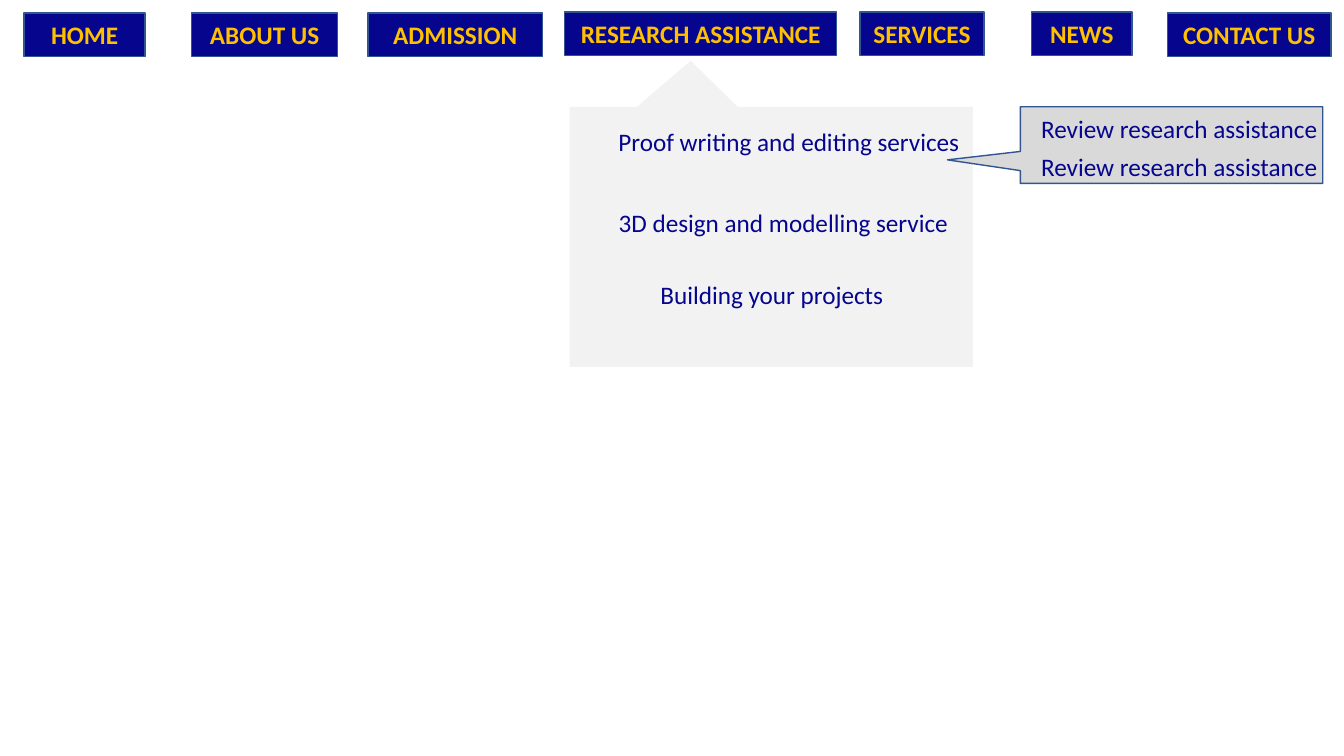
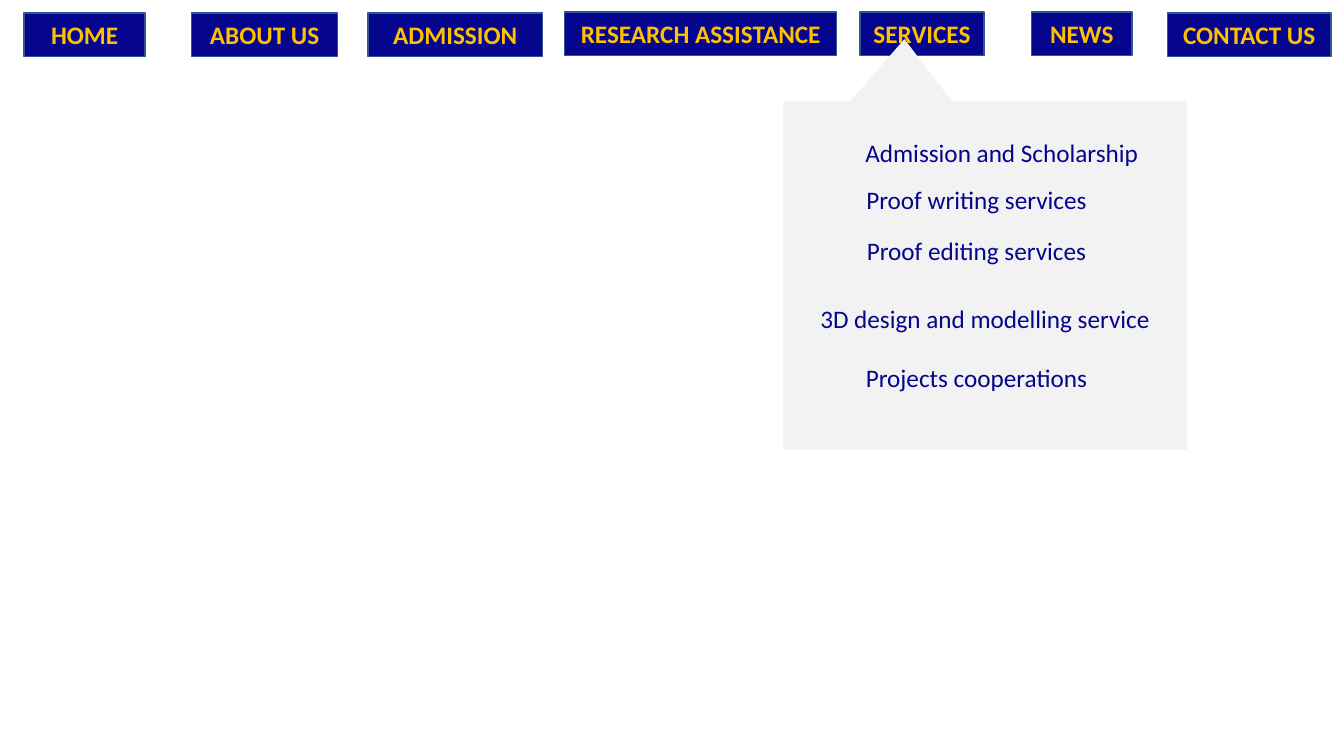
import pptx
import pptx.util
import pptx.dml.color
import pptx.enum.shapes
import pptx.enum.text
from dataclasses import dataclass

Inches = pptx.util.Inches
MSO_SHAPE = pptx.enum.shapes.MSO_SHAPE


@dataclass(frozen=True)
class Theme:
    """Colours, font and sizes shared by both slides."""
    navy: str = "05058D"
    gold: str = "FFC000"
    border: str = "325491"
    panel: str = "F2F2F2"
    submenu: str = "D9D9D9"
    font: str = "Calibri"
    size: int = 18
    line: int = 1
    row_height: float = 0.43


theme = Theme()


def add_box(s, kind, at, fill, border=None):
    """Add a flat preset shape, outlined only when a border colour is given."""
    sp = s.shapes.add_shape(kind, *map(Inches, at))
    sp.shadow.inherit = False
    sp.fill.solid()
    sp.fill.fore_color.rgb = pptx.dml.color.RGBColor.from_string(fill)
    if border:
        sp.line.color.rgb = pptx.dml.color.RGBColor.from_string(border)
        sp.line.width = pptx.util.Pt(theme.line)
    else:
        sp.line.fill.background()
    return sp


def add_label(sp, text, color, bold=False):
    """Write one centred line of menu text in a shape."""
    tf = sp.text_frame
    tf.word_wrap = True
    tf.vertical_anchor = pptx.enum.text.MSO_ANCHOR.MIDDLE
    p = tf.paragraphs[0]
    p.alignment = pptx.enum.text.PP_ALIGN.CENTER
    r = p.add_run()
    r.text = text
    r.font.name = theme.font
    r.font.size = pptx.util.Pt(theme.size)
    r.font.bold = bold
    r.font.color.rgb = pptx.dml.color.RGBColor.from_string(color)


# Menu buttons: text, left, top, width
buttons = [
    ("HOME", 0.24, 0.13, 1.2),
    ("ABOUT US", 1.9, 0.13, 1.45),
    ("ADMISSION", 3.65, 0.13, 1.73),
    ("RESEARCH ASSISTANCE", 5.6, 0.12, 2.7),
    ("SERVICES", 8.53, 0.12, 1.23),
    ("NEWS", 10.23, 0.12, 1),
    ("CONTACT US", 11.58, 0.13, 1.62),
]

# Callouts: place, pointer offset, rotation, fill, border
# Items: text, left, top, width
slides = [
    {
        "callouts": [
            ((5.65, 1.06, 4, 2.58), (0.2, 0.677), 180, theme.panel, None),
            ((10.12, 1.06, 3, 0.76), (-0.741, 0.193), 0, theme.submenu, theme.border),
        ],
        "items": [
            ("Proof writing and editing services", 5.93, 1.19, 3.79),
            ("3D design and modelling service", 5.93, 1.99, 3.68),
            ("Building your projects", 6.35, 2.71, 2.61),
            ("Review research assistance", 10.05, 1.06, 3.29),
            ("Review research assistance", 10.05, 1.44, 3.29),
        ],
    },
    {
        "callouts": [
            ((7.77, 1, 4, 3.46), (0.2, 0.677), 180, theme.panel, None),
        ],
        "items": [
            ("Admission and Scholarship", 8.04, 1.3, 3.79),
            ("Proof writing services", 8.04, 1.76, 3.29),
            ("Proof editing services", 8.04, 2.27, 3.29),
            ("3D design and modelling service", 7.93, 2.94, 3.68),
            ("Projects cooperations", 8.38, 3.53, 2.61),
        ],
    },
]

prs = pptx.Presentation()
prs.slide_width = Inches(13.33)
prs.slide_height = Inches(7.5)

for content in slides:
    s = prs.slides.add_slide(prs.slide_layouts[6])

    for text, left, top, width in buttons:
        at = (left, top, width, theme.row_height)
        sp = add_box(s, MSO_SHAPE.RECTANGLE, at, theme.navy, theme.border)
        add_label(sp, text, theme.gold, bold=True)

    for at, pointer, rotation, fill, border in content["callouts"]:
        sp = add_box(s, MSO_SHAPE.RECTANGULAR_CALLOUT, at, fill, border)
        sp.adjustments[0], sp.adjustments[1] = pointer
        sp.rotation = rotation

    for text, left, top, width in content["items"]:
        at = (left, top, width, theme.row_height)
        sp = s.shapes.add_textbox(*map(Inches, at))
        add_label(sp, text, theme.navy)

prs.save("out.pptx")
